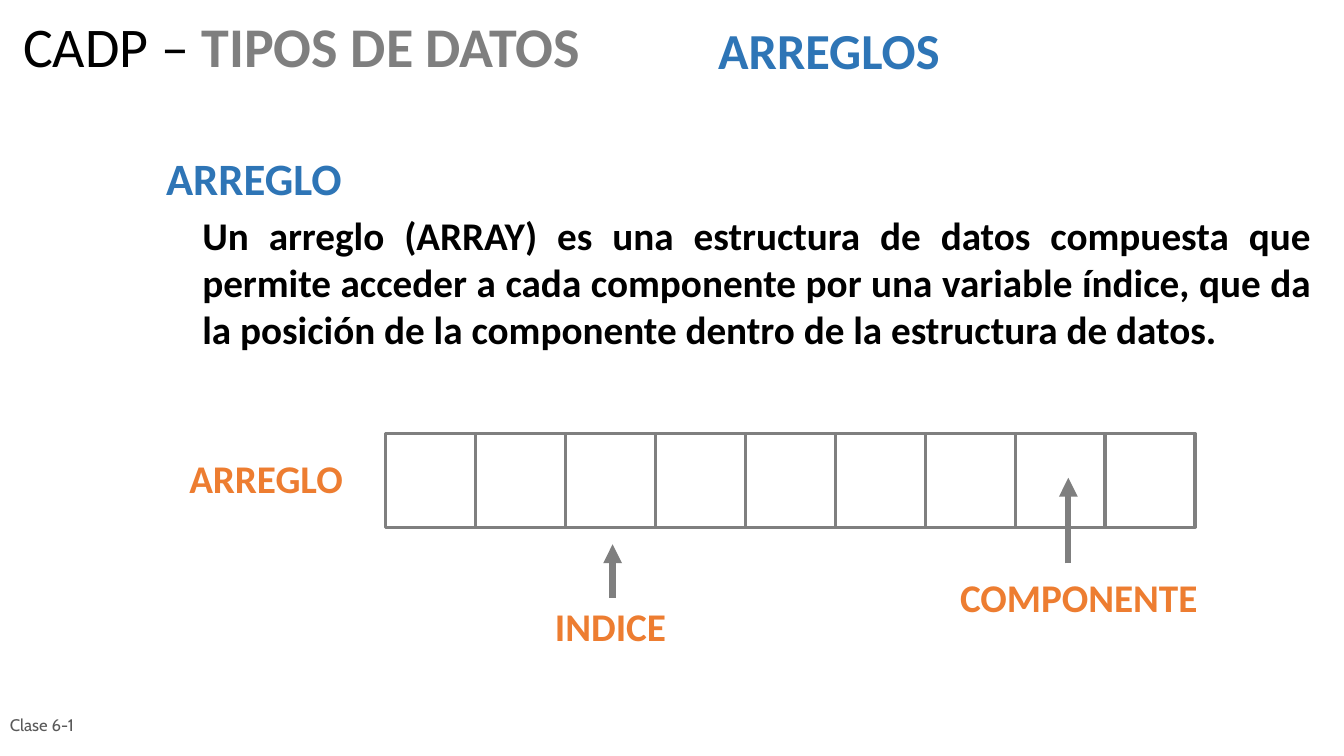
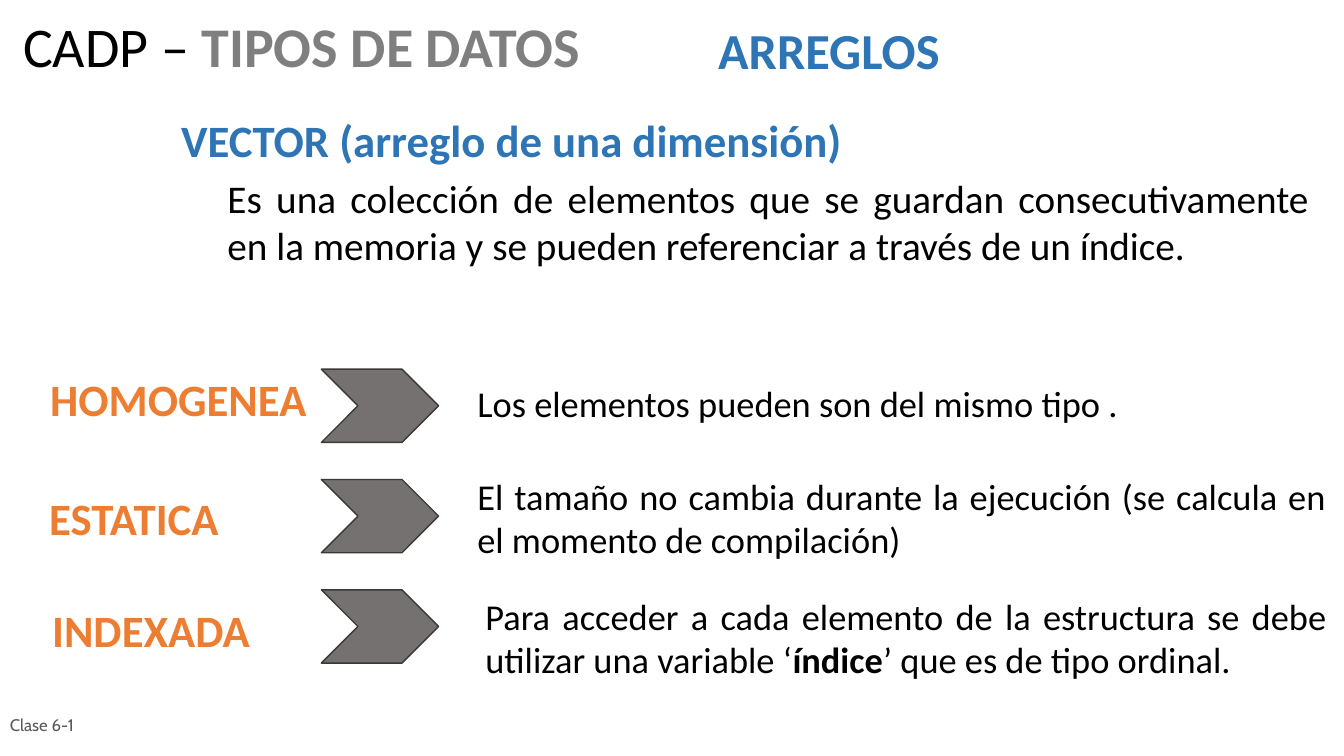
import pptx
import pptx.util
import pptx.dml.color
import pptx.enum.shapes
import pptx.enum.text
import pptx.oxml.ns
from lxml import etree

Pt = pptx.util.Pt
ALIGN = pptx.enum.text.PP_ALIGN
ANCHOR = pptx.enum.text.MSO_ANCHOR
SHAPE = pptx.enum.shapes.MSO_SHAPE
qn = pptx.oxml.ns.qn


def rgb(value):
    return pptx.dml.color.RGBColor.from_string(value)


class Deck:
    """Shared style, and the slide being built."""

    FONT = "Calibri"
    FOOTER_FONT = "Cabin"
    BLACK = "000000"
    GRAY = "7F7F7F"
    BLUE = "2E75B6"
    ORANGE = "ED7D31"
    FOOTER_GRAY = "595959"
    CHEVRON_FILL = "767171"
    CHEVRON_LINE = "3B3838"

    def __init__(self):
        self.prs = pptx.Presentation()
        self.prs.slide_width, self.prs.slide_height = Pt(960.5), Pt(540)
        self.s = None

    def new_slide(self):
        """Add a blank slide with the common title, topic and footer."""
        self.s = self.prs.slides.add_slide(self.prs.slide_layouts[6])
        title = self.text(9.4, 10.1, 487.4, 54.7,
                          [("CADP – ", self.BLACK, False),
                           ("TIPOS DE DATOS", self.GRAY, True)],
                          40, align=ALIGN.LEFT)
        title.paragraphs[0].line_spacing = 0.9
        self.label(506.2, 10.1, 317.5, "ARREGLOS", 36, self.BLUE)
        footer = self.text(0, 503.3, 167.8, 28.8,
                           [("Clase 6-1", self.FOOTER_GRAY, False)],
                           12, font=self.FOOTER_FONT, align=ALIGN.LEFT)
        footer.vertical_anchor = ANCHOR.MIDDLE

    def text(self, x, y, w, h, runs, size, font=FONT, align=ALIGN.JUSTIFY):
        """Text box with one paragraph; runs are (text, colour, bold)."""
        tf = self.s.shapes.add_textbox(Pt(x), Pt(y), Pt(w), Pt(h)).text_frame
        tf.word_wrap = True
        p = tf.paragraphs[0]
        p.alignment = align
        for text, colour, bold in runs:
            r = p.add_run()
            r.text = text
            r.font.name, r.font.size, r.font.bold = font, Pt(size), bold
            r.font.color.rgb = rgb(colour)
        return tf

    def label(self, x, y, w, text, size, colour):
        """Bold one-line caption."""
        self.text(x, y, w, size * 1.44, [(text, colour, True)], size)

    def shape(self, kind, x, y, w, h, fill, line, weight):
        sp = self.s.shapes.add_shape(kind, Pt(x), Pt(y), Pt(w), Pt(h))
        sp.shadow.inherit = False
        if fill:
            sp.fill.solid()
            sp.fill.fore_color.rgb = rgb(fill)
        else:
            sp.fill.background()
        sp.line.color.rgb = rgb(line)
        sp.line.width = Pt(weight)

    def line(self, x1, y1, x2, y2, weight, arrow=False):
        """Gray straight line, with an optional arrowhead at its end."""
        cx = self.s.shapes.add_connector(
            pptx.enum.shapes.MSO_CONNECTOR.STRAIGHT,
            Pt(x1), Pt(y1), Pt(x2), Pt(y2))
        cx.line.color.rgb = rgb(self.GRAY)
        cx.line.width = Pt(weight)
        sp_pr = cx.line._get_or_add_ln().getparent()
        if arrow:
            etree.SubElement(sp_pr.find(qn("a:ln")), qn("a:tailEnd"),
                             type="triangle")
        etree.SubElement(sp_pr, qn("a:effectLst"))

    def cells(self, x, y, w, h, count):
        """Row of equal empty cells."""
        self.shape(SHAPE.RECTANGLE, x, y, w, h, None, self.GRAY, 2.25)
        for i in range(1, count):
            divider = x + i * w / count
            self.line(divider, y, divider, y + h, 2.25)

    def chevron(self, x, y):
        self.shape(SHAPE.CHEVRON, x, y, 83.8, 52.3,
                   self.CHEVRON_FILL, self.CHEVRON_LINE, 1)


def array_slide(deck):
    deck.new_slide()
    # Definition
    deck.label(111.6, 104.4, 402.5, "ARREGLO", 32, deck.BLUE)
    deck.text(137.5, 147.6, 806.4, 108,
              [("Un arreglo (ARRAY) es una estructura de datos compuesta que "
                "permite acceder a cada componente por una variable índice, "
                "que da la posición de la componente dentro de la estructura "
                "de datos.", deck.BLACK, True)], 28)
    # Diagram
    deck.cells(275.8, 309.6, 578.2, 67, 9)
    for x, y, w, text in [(128.2, 321.1, 133.9, "ARREGLO"),
                          (389.5, 427, 96.5, "INDICE"),
                          (679, 406.1, 187.2, "COMPONENTE")]:
        deck.label(x, y, w, text, 28, deck.ORANGE)
    for x, bottom, top in [(437.8, 427, 388.8), (763.5, 402.5, 341.3)]:
        deck.line(x, bottom, x, top, 4.5, arrow=True)


def vector_slide(deck):
    deck.new_slide()
    # Definition
    deck.label(122.4, 77, 487.4, "VECTOR (arreglo de una dimensión)", 32,
               deck.BLUE)
    deck.text(155.5, 121, 787, 74.9,
              [("Es una colección de elementos que se guardan consecutivamente "
                "en la memoria y se pueden referenciar a través de un índice.",
                deck.BLACK, False)], 28)
    # Properties: label and its place, then description, its place and width
    rows = [
        ("HOMOGENEA", 28.8, 262.1,
         [("Los elementos pueden son del mismo tipo .", False)],
         334.1, 268.6, 611.3),
        ("ESTATICA", 28.1, 347,
         [("El tamaño no cambia durante la ejecución (se calcula en el "
           "momento de compilación)", False)],
         334.1, 334.8, 621.4),
        ("INDEXADA", 30.2, 427,
         [("Para acceder a cada elemento de la estructura se debe utilizar "
           "una variable ‘", False),
          ("índice", True),
          ("’ que es de tipo ordinal.", False)],
         339.8, 420.5, 616.3),
    ]
    for i, (name, x, y, parts, text_x, text_y, text_w) in enumerate(rows):
        deck.label(x, y, 200, name, 32, deck.ORANGE)
        deck.text(text_x, text_y, text_w, 69.8,
                  [(text, deck.BLACK, bold) for text, bold in parts], 26)
        deck.chevron(229.7, 263.7 + i * 78.8)


def main():
    deck = Deck()
    array_slide(deck)
    vector_slide(deck)
    deck.prs.save("out.pptx")


if __name__ == "__main__":
    main()
